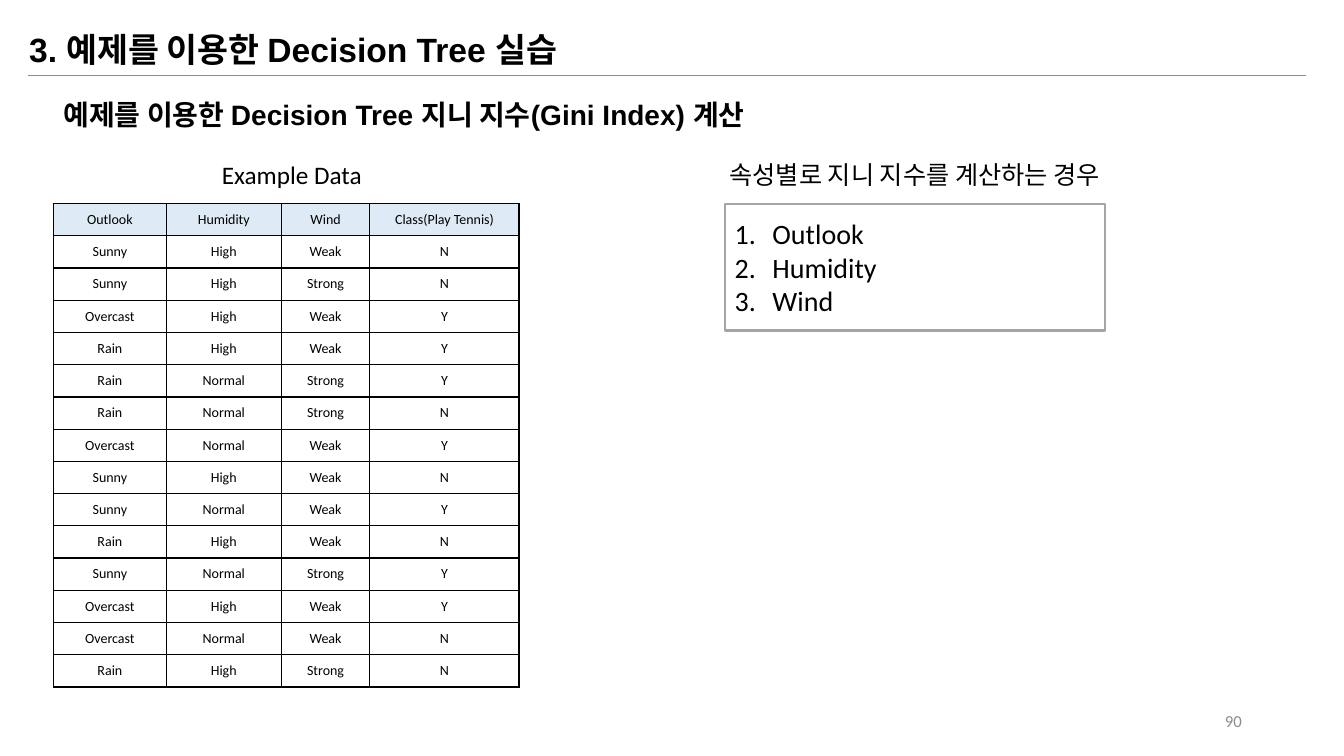
from dataclasses import dataclass

from lxml import etree
from pptx import Presentation
from pptx.dml.color import RGBColor
from pptx.enum.shapes import MSO_CONNECTOR, MSO_SHAPE
from pptx.enum.text import MSO_ANCHOR, MSO_AUTO_SIZE, PP_ALIGN
from pptx.oxml.ns import qn
from pptx.util import Inches, Pt

LEFT, CENTER, RIGHT = PP_ALIGN.LEFT, PP_ALIGN.CENTER, PP_ALIGN.RIGHT
TOP, MIDDLE = MSO_ANCHOR.TOP, MSO_ANCHOR.MIDDLE
GROW = MSO_AUTO_SIZE.SHAPE_TO_FIT_TEXT
RECTANGLE = MSO_SHAPE.RECTANGLE
STRAIGHT = MSO_CONNECTOR.STRAIGHT
COLUMNS, ROWS = 133.33, 75


@dataclass(frozen=True)
class Theme:
    heading_font: str = "Arial"
    body_font: str = "Calibri"
    ink: str = "000000"
    rule: str = "8C8C8C"
    frame: str = "A5A5A5"
    muted: str = "8C8C8C"
    header_fill: str = "DEEBF7"
    title_size: int = 24
    heading_size: int = 20
    label_size: int = 18
    number_size: int = 12
    cell_size: int = 10


class Page:
    """Draws on one slide; places are (column, row, columns, rows) of the grid."""

    def __init__(self, deck, theme):
        self.theme = theme
        self.column = deck.slide_width / COLUMNS
        self.row = deck.slide_height / ROWS
        self.slide = deck.slides.add_slide(deck.slide_layouts[5])
        self.shapes = self.slide.shapes

    def across(self, columns):
        return round(columns * self.column)

    def down(self, rows):
        return round(rows * self.row)

    def place(self, column, row, columns, rows):
        return (self.across(column), self.down(row),
                self.across(columns), self.down(rows))

    def format_text(self, frame, size, font=None, color=None, align=LEFT, bold=False):
        for para in frame.paragraphs:
            para.alignment = align
            for span in para.runs:
                span.font.name = font or self.theme.body_font
                span.font.size = Pt(size)
                span.font.bold = bold
                span.font.color.rgb = RGBColor.from_string(color or self.theme.ink)

    def fill_text(self, box, text, size, anchor=TOP, **style):
        frame = box.text_frame
        frame.word_wrap = True
        frame.auto_size = GROW
        frame.vertical_anchor = anchor
        frame.text = text
        self.format_text(frame, size, **style)

    def title(self, text, place):
        box = self.shapes.title
        box.left, box.top, box.width, box.height = self.place(*place)
        self.fill_text(box, text, self.theme.title_size,
                       font=self.theme.heading_font, bold=True)

    def text(self, text, place, size, **style):
        box = self.shapes.add_textbox(*self.place(*place))
        self.fill_text(box, text, size, **style)

    def rule(self, start, end, row):
        line = self.shapes.add_connector(
            STRAIGHT, self.across(start), self.down(row), self.across(end), self.down(row))
        line.line.color.rgb = RGBColor.from_string(self.theme.rule)
        line.line.width = Pt(0.5)
        etree.SubElement(line._element.spPr, qn("a:effectLst"))

    def numbered_box(self, items, place, indent):
        box = self.shapes.add_shape(RECTANGLE, *self.place(*place))
        box.shadow.inherit = False
        box.fill.background()
        box.line.color.rgb = RGBColor.from_string(self.theme.frame)
        box.line.width = Pt(1.5)
        frame = box.text_frame
        frame.word_wrap = True
        frame.vertical_anchor = MIDDLE
        frame.text = "\n".join(items)
        for para in frame.paragraphs:
            properties = para._p.get_or_add_pPr()
            properties.set("marL", str(self.across(indent)))
            properties.set("indent", str(-self.across(indent)))
            etree.SubElement(properties, qn("a:buFont"), typeface="+mj-lt")
            etree.SubElement(properties, qn("a:buAutoNum"), type="arabicPeriod")
        self.format_text(frame, self.theme.heading_size)

    def border(self, cell):
        properties = cell._tc.get_or_add_tcPr()
        for side in ("lnL", "lnR", "lnT", "lnB"):
            line = etree.SubElement(properties, qn(f"a:{side}"), w=str(Pt(1)))
            fill = etree.SubElement(line, qn("a:solidFill"))
            etree.SubElement(fill, qn("a:srgbClr"), val=self.theme.ink)

    def table(self, records, corner, widths, height):
        place = self.place(*corner, sum(widths), height * len(records))
        table = self.shapes.add_table(len(records), len(widths), *place).table
        table.horz_banding = False
        for column, width in zip(table.columns, widths):
            column.width = self.across(width)
        for index, (row, record) in enumerate(zip(table.rows, records)):
            row.height = self.down(height)
            for cell, value in zip(row.cells, record):
                self.border(cell)
                if index == 0:
                    cell.fill.solid()
                    cell.fill.fore_color.rgb = RGBColor.from_string(self.theme.header_fill)
                else:
                    cell.fill.background()
                cell.vertical_anchor = MIDDLE
                cell.text_frame.text = value
                self.format_text(cell.text_frame, self.theme.cell_size, align=CENTER)


TENNIS_DATA = [
    ("Outlook", "Humidity", "Wind", "Class(Play Tennis)"),
    ("Sunny", "High", "Weak", "N"),
    ("Sunny", "High", "Strong", "N"),
    ("Overcast", "High", "Weak", "Y"),
    ("Rain", "High", "Weak", "Y"),
    ("Rain", "Normal", "Strong", "Y"),
    ("Rain", "Normal", "Strong", "N"),
    ("Overcast", "Normal", "Weak", "Y"),
    ("Sunny", "High", "Weak", "N"),
    ("Sunny", "Normal", "Weak", "Y"),
    ("Rain", "High", "Weak", "N"),
    ("Sunny", "Normal", "Strong", "Y"),
    ("Overcast", "High", "Weak", "Y"),
    ("Overcast", "Normal", "Weak", "N"),
    ("Rain", "High", "Strong", "N"),
]


def main():
    deck = Presentation()
    deck.slide_width, deck.slide_height = Inches(13.33), Inches(7.5)
    theme = Theme()
    page = Page(deck, theme)
    content_top, label_top = 20.2, 15.3

    page.rule(2.8, 129.6, 7.5)
    page.title("3. 예제를 이용한 Decision Tree 실습", (1.9, 2.4, 91.5, 5))
    page.text("예제를 이용한 Decision Tree 지니 지수(Gini Index) 계산",
              (5.3, 9.2, 91.5, 4.4), theme.heading_size,
              font=theme.heading_font, bold=True)
    page.text("90", (94.2, 69.5, 30, 4), theme.number_size,
              anchor=MIDDLE, color=theme.muted, align=RIGHT)
    page.table(TENNIS_DATA, (5.3, content_top), (11.2, 11.4, 8.8, 14.8), 3.2)
    page.text("Example Data", (18.5, label_top, 20.9, 4), theme.label_size, align=CENTER)
    page.numbered_box(TENNIS_DATA[0][:3], (71.9, content_top, 37.7, 12.6), 3.75)
    page.text("속성별로 지니 지수를 계산하는 경우",
              (66.8, label_top, 47.9, 4), theme.label_size, align=CENTER)

    deck.save("out.pptx")


if __name__ == "__main__":
    main()
